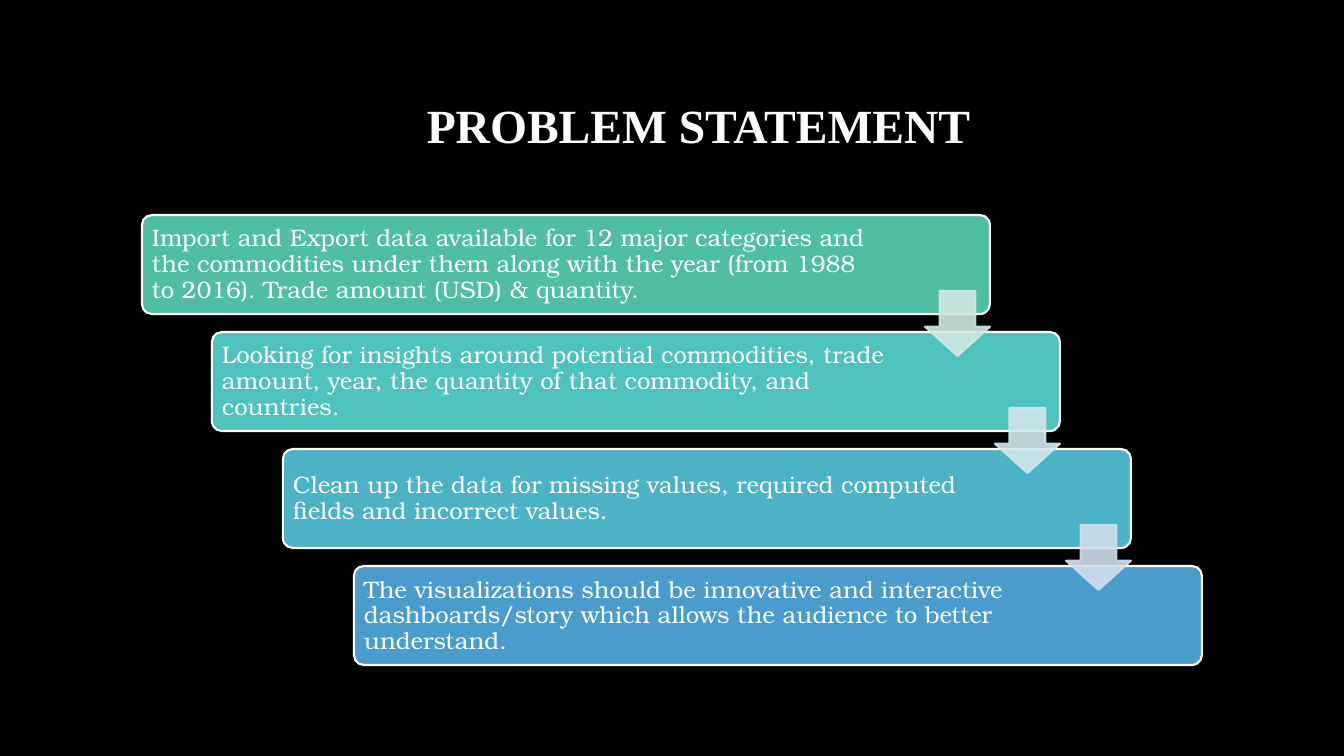
from lxml.etree import SubElement
from pptx import Presentation
from pptx.dml.color import RGBColor
from pptx.enum.shapes import MSO_SHAPE
from pptx.enum.text import MSO_ANCHOR, PP_ALIGN
from pptx.oxml.ns import qn
from pptx.util import Emu, Pt

BLACK = RGBColor(0x00, 0x00, 0x00)
WHITE = RGBColor(0xFF, 0xFF, 0xFF)
GREEN = RGBColor(0x50, 0xBE, 0xA3)
TURQUOISE = RGBColor(0x4E, 0xC3, 0xBE)
TEAL = RGBColor(0x4C, 0xB3, 0xC7)
BLUE = RGBColor(0x4A, 0x9C, 0xCC)
PALE_GREEN = RGBColor(0xD0, 0xE8, 0xE0)
PALE_TURQUOISE = RGBColor(0xD0, 0xE8, 0xEA)
PALE_BLUE = RGBColor(0xD0, 0xDE, 0xEC)

SLIDE_WIDTH, SLIDE_HEIGHT = 1344, 756
EMU_PER_PX = 12192000 / SLIDE_WIDTH

STEP_LEFT, STEP_TOP = 142, 215
STEP_WIDTH, STEP_HEIGHT = 848, 99
STAIR_RIGHT, STAIR_DOWN = 212, 117  # rightward over all three stairs, downward per stair
TEXT_OFFSET, TEXT_HEIGHT, TEXT_INSET = 3, 94, 7
ARROW_SIZE, ARROW_DROP = 65, 76

STEPS = [
    (GREEN, 733, "Import and Export data available for 12 major categories and the "
     "commodities under them along with the year (from 1988 to 2016). "
     "Trade amount (USD) & quantity."),
    (TURQUOISE, 707, "Looking for insights around potential commodities, trade amount, "
     "year, the quantity of that commodity, and countries."),
    (TEAL, 707, "Clean up the data for missing values, required computed fields and "
     "incorrect values."),
    (BLUE, 707, "The visualizations should be innovative and interactive "
     "dashboards/story which allows the audience to better understand."),
]
ARROW_COLORS = [PALE_GREEN, PALE_TURQUOISE, PALE_BLUE]


def px(*lengths):
    return [Emu(round(length * EMU_PER_PX)) for length in lengths]


def format_text(text_frame, font_name, size, alignment, bold):
    text_frame.word_wrap = True
    text_frame.vertical_anchor = MSO_ANCHOR.MIDDLE
    paragraph = text_frame.paragraphs[0]
    paragraph.alignment = alignment
    paragraph.line_spacing = 0.9
    font = paragraph.runs[0].font
    font.name = font_name
    font.size = Pt(size)
    font.bold = bold
    font.color.rgb = WHITE


# Slide
presentation = Presentation()
presentation.slide_width, presentation.slide_height = px(SLIDE_WIDTH, SLIDE_HEIGHT)
slide = presentation.slides.add_slide(presentation.slide_layouts[5])
slide.background.fill.solid()
slide.background.fill.fore_color.rgb = BLACK

# Title
title = slide.shapes.title
title.left, title.top, title.width, title.height = px(142, 68, 1124, 121)
title.text_frame.text = "PROBLEM STATEMENT\t"
format_text(title.text_frame, "Times New Roman", 34, PP_ALIGN.CENTER, True)

# Staircase of steps
staircase = slide.shapes.add_group_shape().shapes
corners = [(STEP_LEFT + index * STAIR_RIGHT // 3, STEP_TOP + index * STAIR_DOWN)
           for index in range(len(STEPS))]
for (left, top), (color, text_width, text) in zip(corners, STEPS):
    step = staircase.add_shape(MSO_SHAPE.ROUNDED_RECTANGLE,
                               *px(left, top, STEP_WIDTH, STEP_HEIGHT))
    step.adjustments[0] = 0.1
    step.shadow.inherit = False
    step.fill.solid()
    step.fill.fore_color.rgb = color
    step.line.color.rgb = WHITE
    step.line.width = Pt(1.5)

    label = staircase.add_textbox(
        *px(left + TEXT_OFFSET, top + TEXT_OFFSET, text_width, TEXT_HEIGHT))
    frame = label.text_frame
    frame.text = text
    frame.margin_left, frame.margin_top, frame.margin_right, frame.margin_bottom = px(
        *[TEXT_INSET] * 4)
    format_text(frame, "TeX Gyre Bonum", 17, PP_ALIGN.LEFT, False)

# Arrows from each step to the next
for (left, top), color in zip(corners, ARROW_COLORS):
    arrow = staircase.add_shape(
        MSO_SHAPE.DOWN_ARROW,
        *px(left + STEP_WIDTH - ARROW_SIZE, top + ARROW_DROP, ARROW_SIZE, ARROW_SIZE))
    arrow.adjustments[0] = 0.55
    arrow.adjustments[1] = 0.45
    arrow.shadow.inherit = False
    arrow.fill.solid()
    arrow.fill.fore_color.rgb = color
    arrow.line.color.rgb = color
    arrow.line.width = Pt(1.5)
    # 90 % opacity on fill and line
    for color_element in arrow.element.spPr.iter(qn("a:srgbClr")):
        SubElement(color_element, qn("a:alpha"), val="90000")

presentation.save("out.pptx")
